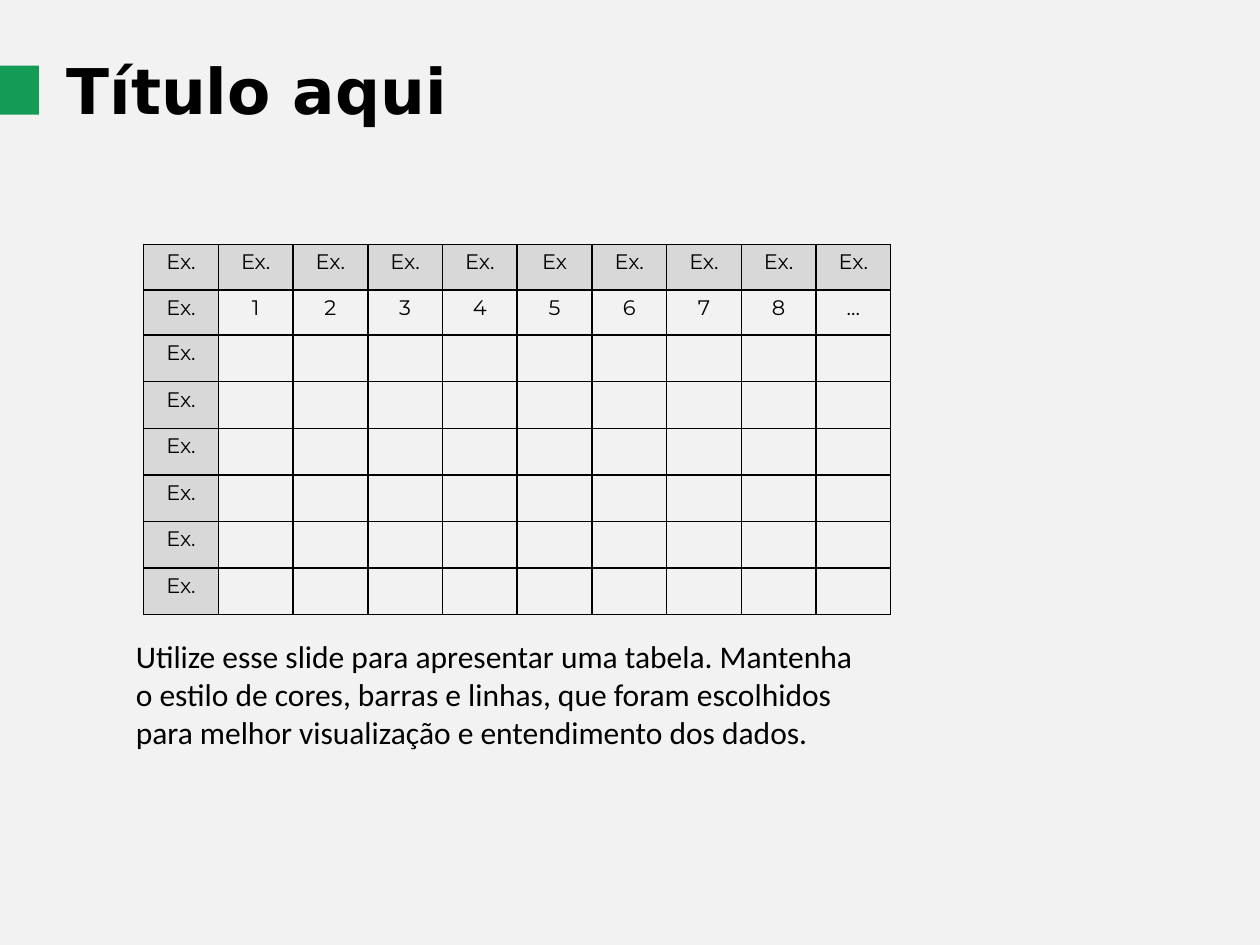
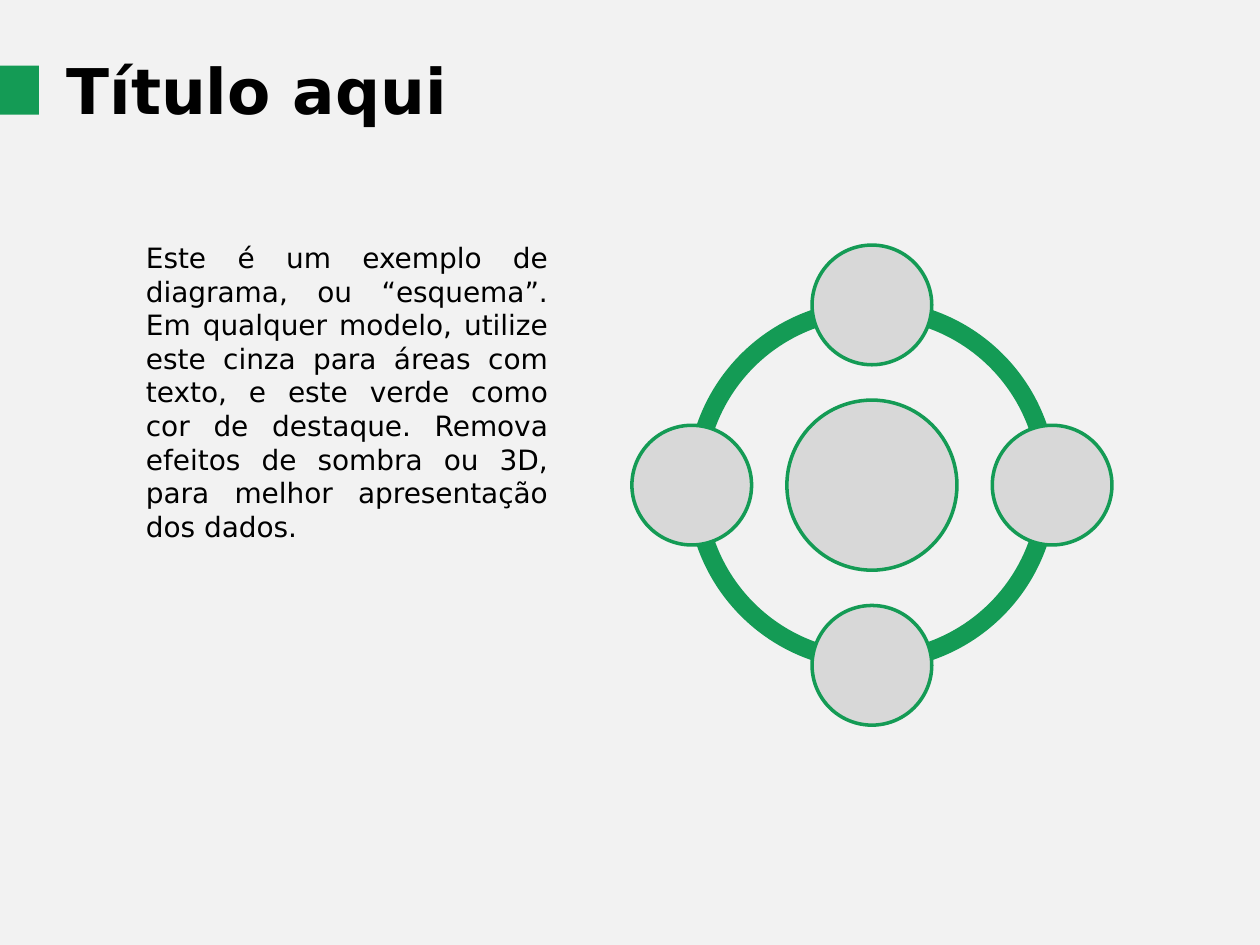
import pptx
import pptx.util
import pptx.dml.color
import pptx.enum.shapes
import pptx.enum.text
import pptx.oxml

Inches = pptx.util.Inches
Pt = pptx.util.Pt
Shape = pptx.enum.shapes.MSO_SHAPE
Align = pptx.enum.text.PP_ALIGN

BACKGROUND = pptx.dml.color.RGBColor(0xF2, 0xF2, 0xF2)
GREEN = pptx.dml.color.RGBColor(0x14, 0x9B, 0x55)
GRAY = pptx.dml.color.RGBColor(0xD8, 0xD8, 0xD8)
BLACK = pptx.dml.color.RGBColor(0, 0, 0)
NAMESPACE = "http://schemas.openxmlformats.org/drawingml/2006/main"


def write(frame, text, size=12, font="DejaVu Sans", bold=False, align=Align.LEFT):
    frame.word_wrap = True
    para = frame.paragraphs[0]
    para.alignment = align
    span = para.add_run()
    span.text = text
    span.font.size = Pt(size)
    span.font.name = font
    span.font.bold = bold
    span.font.color.rgb = BLACK


def add_figure(page, kind, left, top, width, height, fill, line=None):
    figure = page.shapes.add_shape(kind, Inches(left), Inches(top), Inches(width), Inches(height))
    figure.shadow.inherit = False
    figure.fill.solid()
    figure.fill.fore_color.rgb = fill
    if line is None:
        figure.line.fill.background()
    else:
        figure.line.color.rgb = line
        figure.line.width = Pt(2)
    return figure


deck = pptx.Presentation()
deck.slide_width = Inches(10)
deck.slide_height = Inches(7.5)

pages = []
for number in range(2):
    page = deck.slides.add_slide(deck.slide_layouts[6])
    page.background.fill.solid()
    page.background.fill.fore_color.rgb = BACKGROUND
    title = page.shapes.add_textbox(Inches(0.43), Inches(0.36), Inches(6.77), Inches(0.71))
    write(title.text_frame, "Título aqui", size=36, bold=True)
    add_figure(page, Shape.RECTANGLE, -0.04, 0.52, 0.35, 0.39, GREEN)
    pages.append(page)
table_page, diagram_page = pages

header = ["Ex."] * 5 + ["Ex"] + ["Ex."] * 4
numbers = ["Ex.", "1", "2", "3", "4", "5", "6", "7", "8", "..."]
rows = [header, numbers] + [["Ex."] + [""] * 9 for blank_row in range(6)]

table = table_page.shapes.add_table(
    len(rows), len(header), Inches(1.14), Inches(1.94), Inches(5.93), Inches(2.94)
).table
table.first_row = False
table.horz_banding = False
for row_index, labels in enumerate(rows):
    table.rows[row_index].height = Inches(0.36 if row_index < 2 else 0.37)
    for column_index, label in enumerate(labels):
        cell = table.cell(row_index, column_index)
        cell.margin_left = cell.margin_right = Inches(0.09)
        cell.margin_top = Inches(0.04)
        cell.margin_bottom = Inches(0.02)
        if label:
            write(cell.text_frame, label, font="Montserrat", align=Align.CENTER)
        properties = cell._tc.get_or_add_tcPr()
        for side in ("lnL", "lnR", "lnT", "lnB"):
            properties.append(pptx.oxml.parse_xml(
                f'<a:{side} xmlns:a="{NAMESPACE}" w="{Pt(1)}"><a:solidFill>'
                f'<a:srgbClr val="{BLACK}"/></a:solidFill></a:{side}>'
            ))
        if row_index == 0 or column_index == 0:
            cell.fill.solid()
            cell.fill.fore_color.rgb = GRAY
        else:
            cell.fill.background()

caption = table_page.shapes.add_textbox(Inches(0.98), Inches(5.01), Inches(6.06), Inches(1.01))
write(
    caption.text_frame,
    "Utilize esse slide para apresentar uma tabela. Mantenha o estilo de cores, barras e linhas, "
    "que foram escolhidos para melhor visualização e entendimento dos dados.",
    size=18, font="Calibri",
)

center_x, center_y = 6.92, 3.85
ring_size = 2.94
orbit = 1.43
quarter_turn = 54
for quarter in range(4):
    arc = add_figure(
        diagram_page, Shape.BLOCK_ARC, center_x - ring_size / 2, center_y - ring_size / 2,
        ring_size, ring_size, GREEN,
    )
    arc.adjustments[0] = quarter * quarter_turn
    arc.adjustments[1] = (quarter + 1) % 4 * quarter_turn
    arc.adjustments[2] = 0.05

circles = [(0, 0, 1.35), (0, -1, 0.95), (1, 0, 0.95), (0, 1, 0.95), (-1, 0, 0.95)]
for across, down, size in circles:
    add_figure(
        diagram_page, Shape.OVAL, center_x + across * orbit - size / 2,
        center_y + down * orbit - size / 2, size, size, GRAY, line=GREEN,
    )

description = diagram_page.shapes.add_textbox(Inches(1.06), Inches(1.86), Inches(3.39), Inches(2.52))
write(
    description.text_frame,
    "Este é um exemplo de diagrama, ou “esquema”. Em qualquer modelo, utilize este cinza para "
    "áreas com texto, e este verde como cor de destaque. Remova efeitos de sombra ou 3D, para "
    "melhor apresentação dos dados.",
    size=16, align=Align.JUSTIFY,
)

deck.save("out.pptx")
